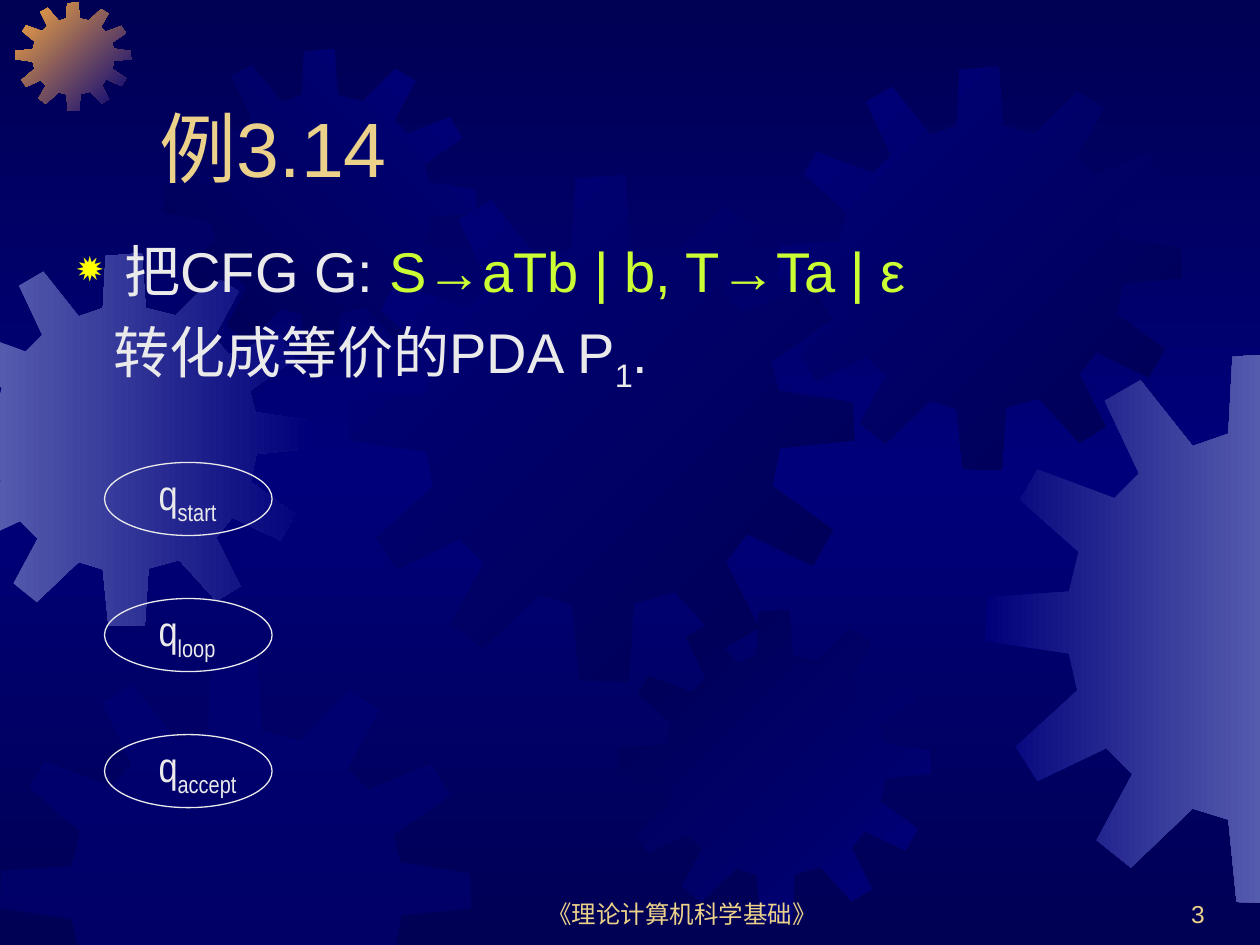
from copy import deepcopy
from dataclasses import dataclass

from lxml import etree
from pptx import Presentation
from pptx.dml.color import RGBColor
from pptx.enum.shapes import MSO_SHAPE
from pptx.enum.text import MSO_ANCHOR, PP_ALIGN
from pptx.oxml.ns import qn
from pptx.util import Inches, Pt

ELLIPSE = MSO_SHAPE.OVAL
TOP, BOTTOM = MSO_ANCHOR.TOP, MSO_ANCHOR.BOTTOM
LEFT, CENTER, RIGHT = PP_ALIGN.LEFT, PP_ALIGN.CENTER, PP_ALIGN.RIGHT


@dataclass(frozen=True)
class Theme:
    night: str = "000054"
    navy: str = "00007A"
    steel: str = "555BAD"
    orange: str = "FCAB40"
    gold: str = "EBD189"
    white: str = "EAEAEA"
    lime: str = "CCFF33"
    yellow: str = "FFFF00"
    font: str = "Arial"
    narrow_font: str = "Arial Narrow"
    title_size: int = 44
    body_size: int = 32
    state_size: int = 24
    footer_size: int = 14


THEME = Theme()
PAGE_WIDTH, PAGE_HEIGHT = 10, 7.5
BLEED = 0.01

# Outline of a twelve-toothed gear on a square grid of GEAR_GRID units
GEAR_GRID = 401
GEAR_OUTLINE = [
    (255, 67), (223, 59), (219, 0), (180, 3), (177, 59), (151, 68),
    (113, 20), (87, 35), (112, 88), (94, 106), (38, 85), (25, 107),
    (68, 145), (61, 174), (1, 178), (0, 210), (61, 219), (67, 246),
    (22, 287), (38, 312), (88, 288), (107, 307), (81, 355), (106, 375),
    (151, 332), (177, 340), (183, 400), (222, 401), (226, 339), (259, 330),
    (299, 374), (325, 358), (299, 306), (316, 284), (368, 309), (384, 281),
    (336, 246), (342, 216), (401, 210), (400, 180), (341, 171), (335, 148),
    (383, 114), (367, 87), (313, 109), (296, 91), (323, 41), (297, 25),
]

# Left, top, width, height, colours (one is a half-transparent fill), angle
GEARS = [
    (-0.49, 2.01, 2.96, 2.96, (THEME.steel, THEME.navy), 0),
    (0.12, 0.02, 0.92, 0.86, (THEME.orange, THEME.navy), 45),
    (1.3, 0.39, 2.48, 2.48, (THEME.night, THEME.navy), 315),
    (2.77, 1.39, 4.01, 4.02, (THEME.navy, THEME.night), 45),
    (0, 5.25, 3.74, 3.74, (THEME.navy,), 0),
    (4.91, 4.84, 2.48, 2.48, (THEME.night, THEME.navy), 45),
    (6.18, 0.53, 3.2, 3.2, (THEME.navy, THEME.night), 45),
    (7.82, 2.8, 4.37, 4.37, (THEME.navy, THEME.steel), 0),
]


def paint_gradient(fill, owner, colors, angle):
    """Fill with evenly spaced colours; the angle runs clockwise."""
    fill.gradient()
    stop_list = owner.find(".//" + qn("a:gsLst"))
    while len(stop_list) < len(colors):
        stop_list.append(deepcopy(stop_list[-1]))
    for index, (stop, color) in enumerate(zip(fill.gradient_stops, colors)):
        stop.position = index / (len(colors) - 1)
        stop.color.rgb = RGBColor.from_string(color)
    fill.gradient_angle = -angle % 360


def clip(points, axis, limit, sign):
    """Keep the part of a polygon where sign * coordinate <= sign * limit."""
    kept = []
    for start, end in zip(points[-1:] + points[:-1], points):
        start_inside = sign * start[axis] <= sign * limit
        end_inside = sign * end[axis] <= sign * limit
        if start_inside != end_inside:
            share = (limit - start[axis]) / (end[axis] - start[axis])
            kept.append(tuple(a + share * (b - a) for a, b in zip(start, end)))
        if end_inside:
            kept.append(end)
    return kept


def add_gear(page, left, top, width, height, colors, angle):
    points = [(left + x / GEAR_GRID * width, top + y / GEAR_GRID * height)
              for x, y in GEAR_OUTLINE]
    for axis, limit, sign in ((0, -BLEED, -1), (0, PAGE_WIDTH + BLEED, 1),
                              (1, PAGE_HEIGHT + 0.04, 1)):
        points = clip(points, axis, limit, sign)
    corners = [(Inches(x), Inches(y)) for x, y in points]
    builder = page.shapes.build_freeform(*corners[0])
    builder.add_line_segments(corners[1:], close=True)
    gear = builder.convert_to_shape()
    gear.shadow.inherit = False
    gear.line.fill.background()
    if len(colors) > 1:
        paint_gradient(gear.fill, gear.element, colors, angle)
        return
    gear.fill.solid()
    gear.fill.fore_color.rgb = RGBColor.from_string(colors[0])
    color = gear.element.spPr.find(".//" + qn("a:srgbClr"))
    etree.SubElement(color, qn("a:alpha"), val="50000")


def add_backdrop(page):
    paint_gradient(page.background.fill, page.element,
                   (THEME.night, THEME.navy, THEME.night), 90)
    for gear in GEARS:
        add_gear(page, *gear)


def add_span(para, text, size, color, font=THEME.font, subscript=False):
    span = para.add_run()
    span.text = text
    span.font.size = Pt(size)
    span.font.name = font
    span.font.color.rgb = RGBColor.from_string(color)
    if subscript:
        span.font._element.set("baseline", "-25000")


def add_text_box(page, left, top, width, height, anchor=TOP, align=LEFT):
    """Add an empty text box and return its first paragraph and frame."""
    box = page.shapes.add_textbox(*map(Inches, (left, top, width, height)))
    frame = box.text_frame
    frame.word_wrap = True
    frame.vertical_anchor = anchor
    para = frame.paragraphs[0]
    para.alignment = align
    return para, frame


def add_line_of_text(page, box, text, size, align=LEFT):
    para, _ = add_text_box(page, *box, anchor=BOTTOM, align=align)
    add_span(para, text, size, THEME.gold)


def set_star_bullet(para, indent):
    props = para._p.get_or_add_pPr()
    props.set("marL", str(indent))
    props.set("indent", str(-indent))
    color = etree.SubElement(props, qn("a:buClr"))
    etree.SubElement(color, qn("a:srgbClr"), val=THEME.yellow)
    etree.SubElement(props, qn("a:buSzPct"), val="80000")
    etree.SubElement(props, qn("a:buChar"), char="✹")


def add_task(page, box):
    grammar, frame = add_text_box(page, *box)
    set_star_bullet(grammar, Inches(0.38))
    add_span(grammar, "把CFG G: ", THEME.body_size, THEME.white)
    add_span(grammar, "S→aTb | b, T→Ta | ε", THEME.body_size, THEME.lime)
    goal = frame.add_paragraph()
    goal.space_before = Pt(8)
    goal._p.get_or_add_pPr().set("marL", str(Inches(0.29)))
    for text, subscript in (("转化成等价的PDA P", False), ("1", True), (".", False)):
        add_span(goal, text, THEME.body_size, THEME.white, subscript=subscript)


def add_state(page, left, top, name):
    oval = page.shapes.add_shape(
        ELLIPSE, *map(Inches, (left, top, 1.33, 0.58)))
    oval.shadow.inherit = False
    oval.fill.background()
    oval.line.color.rgb = RGBColor.from_string(THEME.white)
    oval.line.width = Pt(0.75)
    para, _ = add_text_box(page, left + 0.33, top, 0.92, 0.56)
    for text, subscript in (("q", False), (name, True)):
        add_span(para, text, THEME.state_size, THEME.white,
                 THEME.narrow_font, subscript)


def main():
    deck = Presentation()
    deck.slide_width, deck.slide_height = Inches(PAGE_WIDTH), Inches(PAGE_HEIGHT)
    page = deck.slides.add_slide(deck.slide_layouts[6])
    add_backdrop(page)
    add_line_of_text(page, (3.83, 6.92, 3.17, 0.5), "《理论计算机科学基础》",
                     THEME.footer_size, CENTER)
    add_line_of_text(page, (7.58, 6.92, 2.08, 0.5), "3",
                     THEME.footer_size, RIGHT)
    add_line_of_text(page, (1.17, 0.33, 8.5, 1.25), "例3.14", THEME.title_size)
    add_task(page, (0.51, 1.83, 8.5, 1.42))
    for row, name in enumerate(("start", "loop", "accept")):
        add_state(page, 0.83, 3.67 + row * 1.08, name)
    deck.save("out.pptx")


if __name__ == "__main__":
    main()
